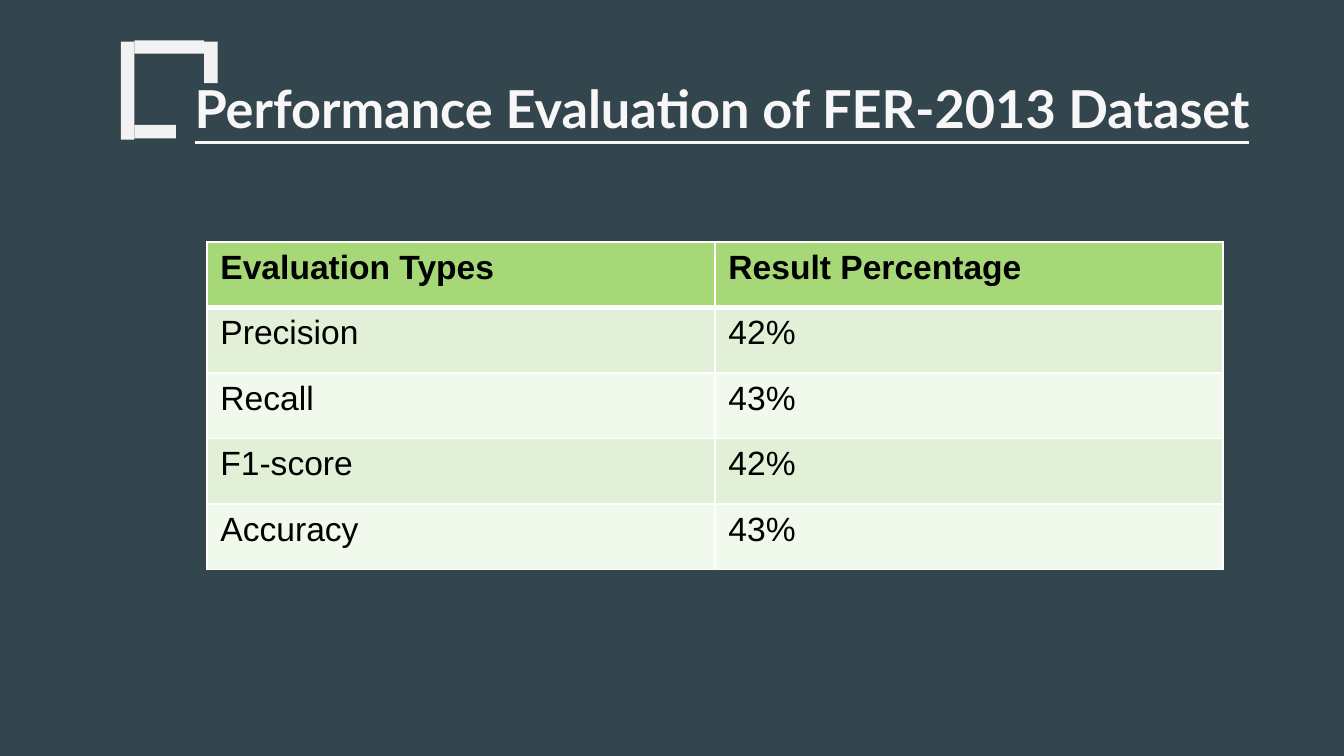
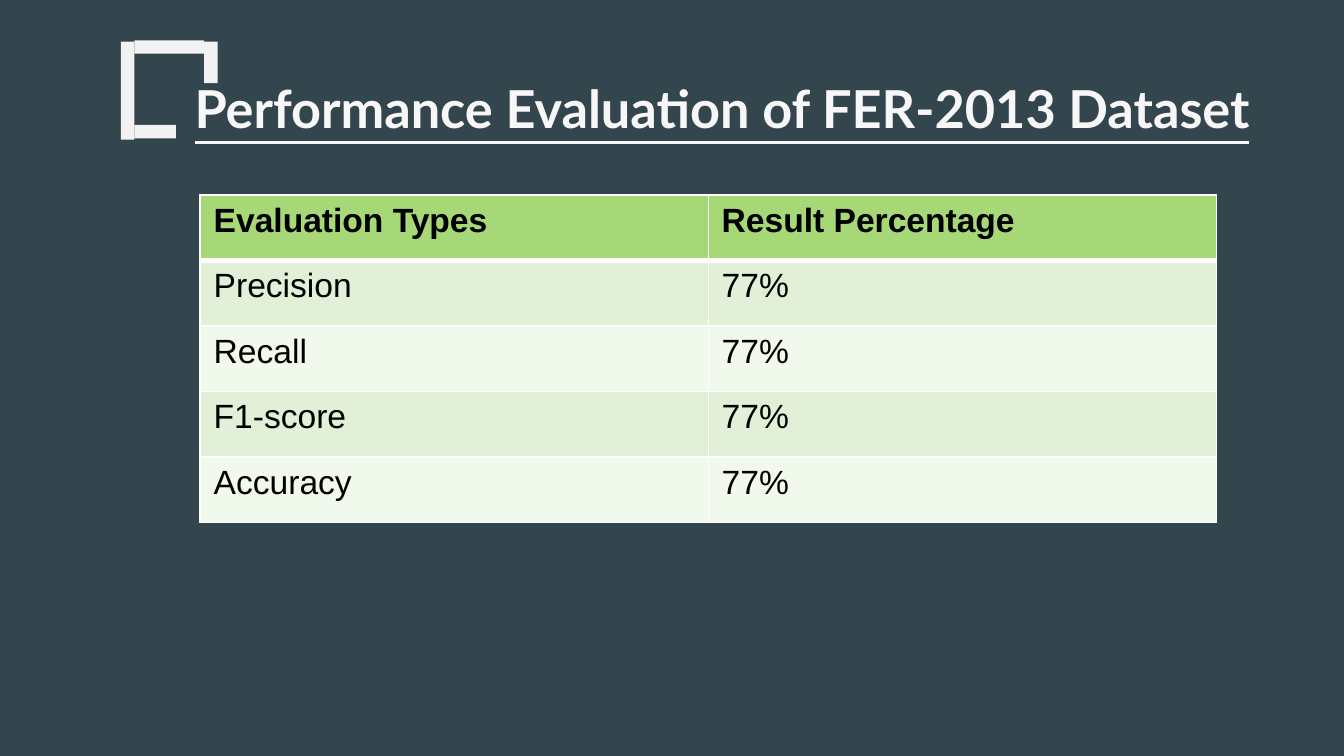
from lxml import etree
from pptx import Presentation
from pptx.dml.color import RGBColor
from pptx.enum import shapes, text
from pptx.oxml import ns
from pptx.util import Inches, Pt

# Content
TITLE = "Performance Evaluation of FER-2013 Dataset"
HEADER = ("Evaluation Types", "Result Percentage")
MEASURES = ("Precision", "Recall", "F1-score", "Accuracy")
RESULTS = [  # table left, table top, one value per measure
    (1.54, 1.8, ("42%", "43%", "42%", "43%")),
    (1.49, 1.45, ("77%", "77%", "77%", "77%")),
]

# Shared style
SLATE = RGBColor(0x34, 0x46, 0x4D)
BRACKET = RGBColor(0xF2, 0xF2, 0xF2)
TITLE_COLOR = RGBColor(0xF7, 0xF7, 0xF7)
HEADER_FILL = RGBColor(0xA7, 0xD8, 0x78)
BAND_FILLS = (RGBColor(0xE1, 0xF0, 0xD6), RGBColor(0xF1, 0xF8, 0xEC))
BLACK = RGBColor(0, 0, 0)
WHITE = RGBColor(0xFF, 0xFF, 0xFF)
TABLE_WIDTH, TABLE_HEIGHT = Inches(7.56), Inches(2.44)
BRACKET_BARS = [  # left, top, width, height
    (1, 0.3, 0.52, 0.1),
    (0.9, 0.31, 0.1, 0.73),
    (1.52, 0.31, 0.1, 0.31),
    (1, 0.93, 0.31, 0.1),
]


def add_run(p, words, font, size, color, bold=False):
    r = p.add_run()
    r.text = words
    r.font.name = font
    r.font.size = Pt(size)
    r.font.color.rgb = color
    r.font.bold = bold
    return r


def add_heading(slide):
    # Corner bracket
    for bar in BRACKET_BARS:
        sp = slide.shapes.add_shape(shapes.MSO_SHAPE.RECTANGLE, *map(Inches, bar))
        sp.shadow.inherit = False
        sp.fill.solid()
        sp.fill.fore_color.rgb = BRACKET
        sp.line.fill.background()
    # Underlined title
    tf = slide.shapes.add_textbox(Inches(1.35), Inches(0.52), Inches(8.39), Inches(0.62)).text_frame
    tf.word_wrap = True
    tf.vertical_anchor = text.MSO_ANCHOR.TOP
    add_run(tf.paragraphs[0], TITLE, "Lato", 28, TITLE_COLOR, True).font.underline = True


def set_borders(cell, **widths):
    tc_pr = cell._tc.get_or_add_tcPr()
    for side in "LRTB":
        ln = etree.SubElement(tc_pr, ns.qn(f"a:ln{side}"), w=str(Pt(widths.get(side, 1))))
        fill = etree.SubElement(ln, ns.qn("a:solidFill"))
        etree.SubElement(fill, ns.qn("a:srgbClr"), val=str(WHITE))


def add_results(slide, left, top, values):
    rows = [HEADER, *zip(MEASURES, values)]
    # Rows and columns share the table size equally
    table = slide.shapes.add_table(
        len(rows), len(HEADER), Inches(left), Inches(top), TABLE_WIDTH, TABLE_HEIGHT).table
    for i, row in enumerate(rows):
        is_header = i == 0
        for j, words in enumerate(row):
            cell = table.cell(i, j)
            # Thick rule between the header and the first measure
            set_borders(cell, T=3 if i == 1 else 1, B=3 if is_header else 1)
            cell.fill.solid()
            cell.fill.fore_color.rgb = HEADER_FILL if is_header else BAND_FILLS[(i - 1) % 2]
            add_run(cell.text_frame.paragraphs[0], words, "Arial", 18, BLACK, is_header)


def main():
    prs = Presentation()
    # Widescreen, 16:9
    prs.slide_width = Inches(10)
    prs.slide_height = prs.slide_width * 9 // 16
    background = prs.slide_master.background.fill
    background.solid()
    background.fore_color.rgb = SLATE
    for left, top, values in RESULTS:
        slide = prs.slides.add_slide(prs.slide_layouts[6])
        add_heading(slide)
        add_results(slide, left, top, values)
    prs.save("out.pptx")


if __name__ == "__main__":
    main()
